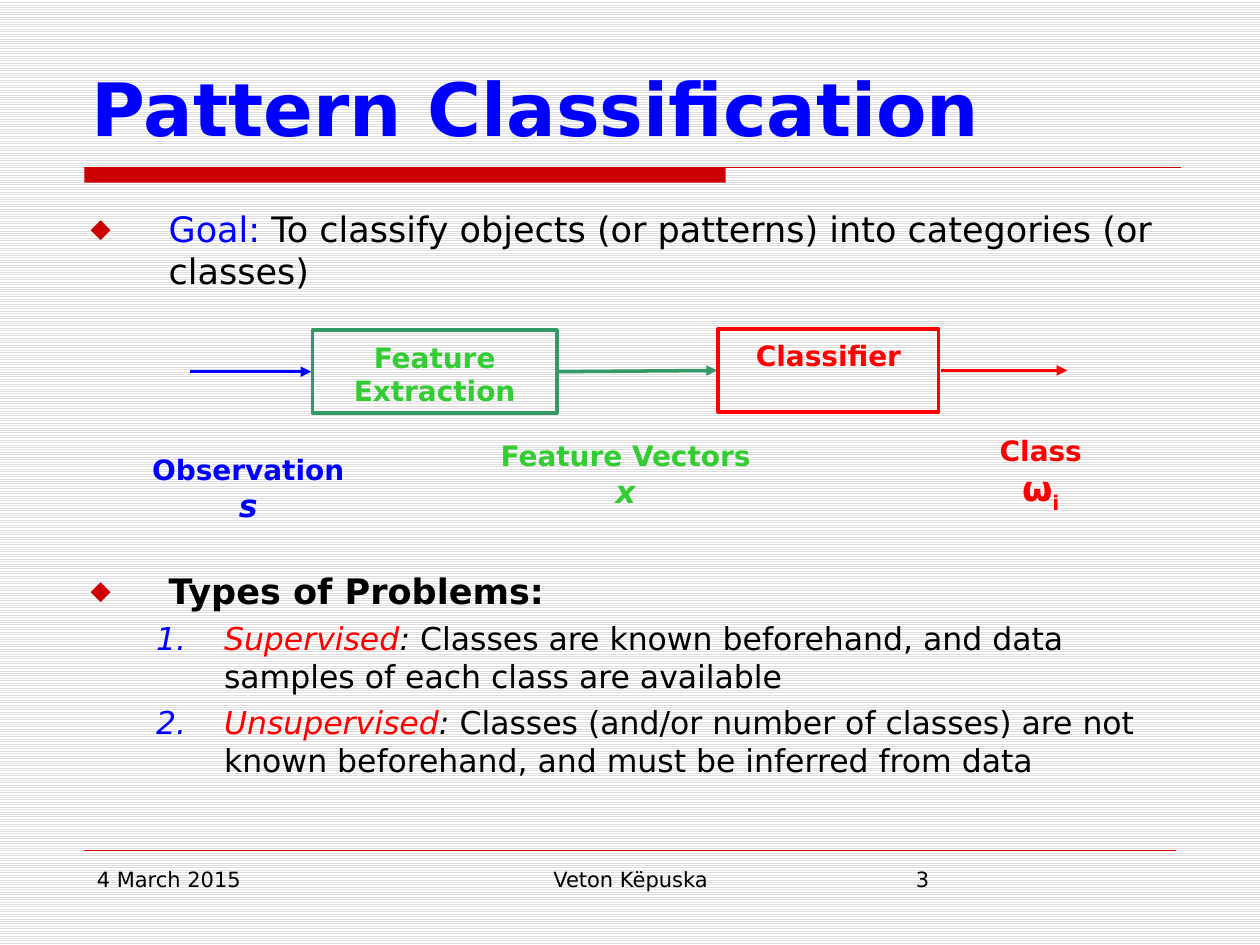
from dataclasses import dataclass

from lxml import etree
from pptx import Presentation
from pptx.dml.color import RGBColor
from pptx.enum import dml, shapes, text
from pptx.oxml import ns
from pptx.util import Inches, Pt

FONT = "DejaVu Sans"
COLORS = {
    "black": "000000",
    "blue": "0000FF",
    "red": "FF0000",
    "green": "33CC33",
    "sea": "339966",
    "crimson": "CC0000",
    "stripe": "DDDDDD",
    "white": "FFFFFF",
}
LEFT, CENTER = text.PP_ALIGN.LEFT, text.PP_ALIGN.CENTER
TOP, BOTTOM = text.MSO_ANCHOR.TOP, text.MSO_ANCHOR.BOTTOM


@dataclass
class Run:
    words: str
    size: float
    color: str = "black"
    bold: bool = False
    italic: bool = False
    subscript: bool = False
    break_after: bool = False


@dataclass
class Bullet:
    margin: float
    hanging: float
    color: str
    tag: str
    attribute: str
    value: str
    percent: int = 100


@dataclass
class Block:
    box: tuple[float, float, float, float]
    runs: list[Run]
    align: text.PP_ALIGN = LEFT
    anchor: text.MSO_ANCHOR = TOP


@dataclass
class Stage:
    box: tuple[float, float, float, float]
    outline: str
    run: Run


@dataclass
class Line:
    start: tuple[float, float]
    end: tuple[float, float]
    color: str
    width: float = 2
    arrow: bool = True


DIAMOND = Bullet(0.62, 0.62, "crimson", "a:buChar", "char", "◆", 75)
NUMBER = Bullet(1.06, 0.54, "blue", "a:buAutoNum", "type", "arabicPeriod")


def rgb(name: str) -> RGBColor:
    return RGBColor.from_string(COLORS[name])


def add_runs(paragraph, runs: list[Run]) -> None:
    for item in runs:
        run = paragraph.add_run()
        run.text = item.words
        run.font.name = FONT
        run.font.size = Pt(item.size)
        run.font.bold = item.bold
        run.font.italic = item.italic
        run.font.color.rgb = rgb(item.color)
        if item.subscript:
            run.font._element.set("baseline", "-25000")
        if item.break_after:
            paragraph.add_line_break()


def add_bullet(paragraph, bullet: Bullet) -> None:
    properties = paragraph._p.get_or_add_pPr()
    properties.set("marL", str(Inches(bullet.margin)))
    properties.set("indent", str(-Inches(bullet.hanging)))
    color = etree.SubElement(properties, ns.qn("a:buClr"))
    etree.SubElement(color, ns.qn("a:srgbClr"), val=COLORS[bullet.color])
    etree.SubElement(properties, ns.qn("a:buSzPct"), val=str(bullet.percent * 1000))
    etree.SubElement(properties, ns.qn("a:buFont"), typeface=FONT)
    etree.SubElement(properties, ns.qn(bullet.tag), {bullet.attribute: bullet.value})


def add_text_frame(slide, box: tuple, anchor=TOP):
    frame = slide.shapes.add_textbox(*map(Inches, box)).text_frame
    frame.word_wrap = True
    frame.vertical_anchor = anchor
    return frame


def add_block(slide, block: Block) -> None:
    paragraph = add_text_frame(slide, block.box, block.anchor).paragraphs[0]
    paragraph.alignment = block.align
    add_runs(paragraph, block.runs)


def add_list(slide, box: tuple, items: list[tuple[Bullet, list[Run]]]) -> None:
    frame = add_text_frame(slide, box)
    for index, (bullet, runs) in enumerate(items):
        paragraph = frame.add_paragraph() if index else frame.paragraphs[0]
        if index:
            paragraph.space_before = Pt(4.5)
        add_bullet(paragraph, bullet)
        add_runs(paragraph, runs)


def add_rectangle(slide, box: tuple):
    shape = slide.shapes.add_shape(shapes.MSO_SHAPE.RECTANGLE, *map(Inches, box))
    shape.shadow.inherit = False
    return shape


def add_stage(slide, stage: Stage) -> None:
    shape = add_rectangle(slide, stage.box)
    shape.fill.background()
    shape.line.color.rgb = rgb(stage.outline)
    shape.line.width = Pt(2)
    frame = shape.text_frame
    frame.word_wrap = True
    frame.vertical_anchor = TOP
    frame.margin_top = Inches(0.08)
    frame.paragraphs[0].alignment = CENTER
    add_runs(frame.paragraphs[0], [stage.run])


def add_line(slide, line: Line) -> None:
    connector = slide.shapes.add_connector(
        shapes.MSO_CONNECTOR.STRAIGHT, *map(Inches, line.start + line.end)
    )
    connector.line.color.rgb = rgb(line.color)
    connector.line.width = Pt(line.width)
    if line.arrow:
        etree.SubElement(connector.line._get_or_add_ln(), ns.qn("a:tailEnd"), type="triangle")
    etree.SubElement(connector._element.spPr, ns.qn("a:effectLst"))


def problem(name: str, description: str) -> tuple[Bullet, list[Run]]:
    return NUMBER, [
        Run(name, 18, "red", italic=True),
        Run(": ", 18, italic=True),
        Run(description, 18),
    ]


def label(box: tuple, name: str, color: str, symbol: list[Run]) -> Block:
    return Block(box, [Run(name, 16, color, bold=True, break_after=True), *symbol], CENTER)


def main() -> None:
    presentation = Presentation()
    presentation.slide_width, presentation.slide_height = Inches(10), Inches(7.5)
    slide = presentation.slides.add_slide(presentation.slide_layouts[6])
    background = slide.background.fill
    background.patterned()
    background.pattern = dml.MSO_PATTERN.LIGHT_HORIZONTAL
    background.fore_color.rgb = rgb("stripe")
    background.back_color.rgb = rgb("white")

    bar = add_rectangle(slide, (0.67, 1.33, 5.09, 0.12))
    bar.fill.solid()
    bar.fill.fore_color.rgb = rgb("crimson")
    bar.line.fill.background()

    for line in (
        Line((0.67, 1.33), (9.37, 1.33), "crimson", 0.75, arrow=False),
        Line((0.67, 6.75), (9.33, 6.75), "crimson", 0.25, arrow=False),
        Line((1.51, 2.95), (2.47, 2.95), "blue"),
        Line((4.43, 2.95), (5.69, 2.94), "sea"),
        Line((7.47, 2.94), (8.47, 2.94), "red"),
    ):
        add_line(slide, line)

    for stage in (
        Stage((2.48, 2.62, 1.94, 0.66), "sea", Run("Feature Extraction", 16, "green", bold=True)),
        Stage((5.7, 2.61, 1.75, 0.66), "red", Run("Classifier", 16, "red", bold=True)),
    ):
        add_stage(slide, stage)

    omega = [Run("ω", 20, "red", bold=True), Run("i", 20, "red", bold=True, subscript=True)]
    for block in (
        Block((0.63, 0.33, 8.75, 0.92), [Run("Pattern Classification", 42, "blue", bold=True)], anchor=BOTTOM),
        label((1.06, 3.54, 1.82, 0.67), "Observation", "blue", [Run("s", 18, "blue", True, True)]),
        label((3.77, 3.43, 2.39, 0.67), "Feature Vectors", "green", [Run("x", 18, "green", True, True)]),
        label((7.45, 3.39, 1.62, 0.7), "Class", "red", omega),
        Block((0.67, 6.83, 2.17, 0.52), [Run("4 March 2015", 12)]),
        Block((3.42, 6.83, 3.17, 0.52), [Run("Veton Këpuska", 12)], CENTER),
        Block((7.17, 6.83, 2.17, 0.52), [Run("3", 12)]),
    ):
        add_block(slide, block)

    goal = " To classify objects (or patterns) into categories (or classes)"
    add_list(slide, (0.62, 1.6, 8.75, 0.8), [(DIAMOND, [Run("Goal:", 20, "blue"), Run(goal, 20)])])
    add_list(slide, (0.62, 4.47, 8.75, 2.1), [
        (DIAMOND, [Run("Types of Problems:", 20, bold=True)]),
        problem("Supervised", "Classes are known beforehand, and data samples of each class are available"),
        problem("Unsupervised", "Classes (and/or number of classes) are not known beforehand, and must be inferred from data"),
    ])
    presentation.save("out.pptx")


if __name__ == "__main__":
    main()
